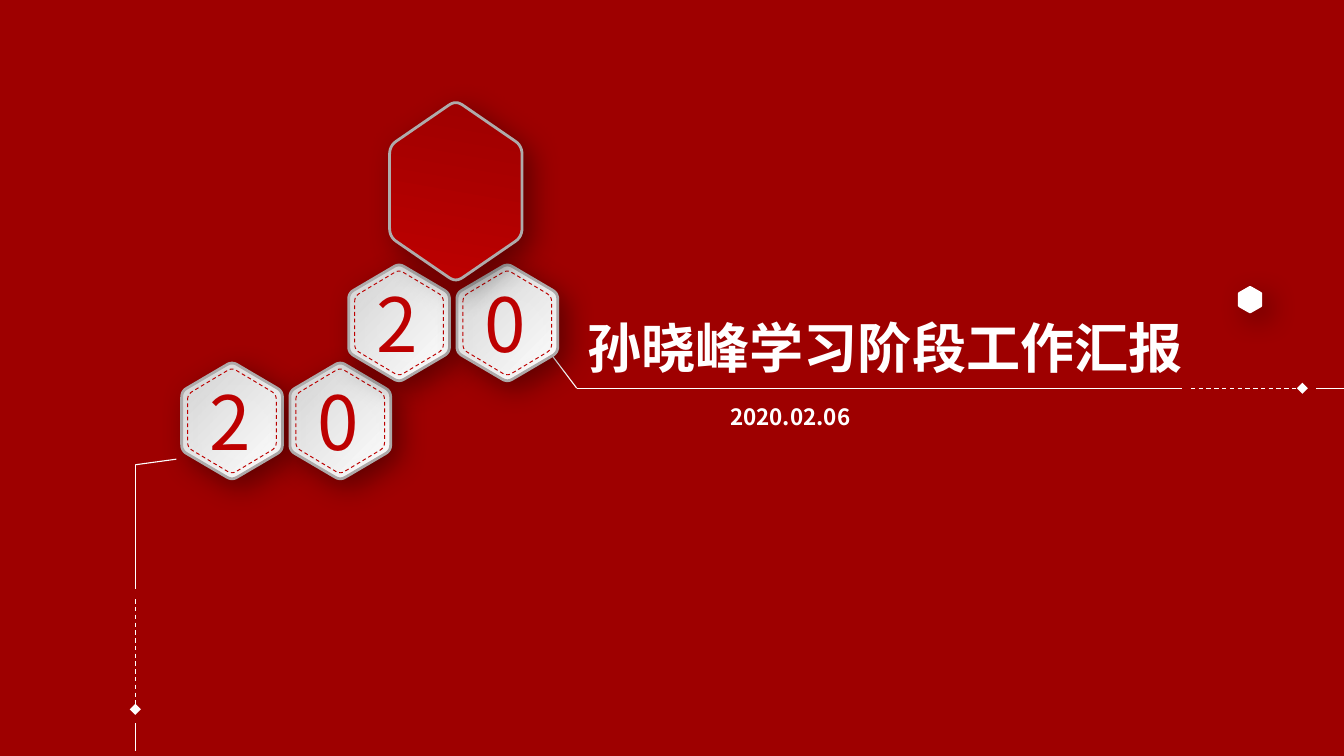
from dataclasses import dataclass

from lxml.etree import SubElement
from pptx import Presentation
from pptx.dml.color import RGBColor
from pptx.enum.dml import MSO_LINE_DASH_STYLE as Dash
from pptx.enum.shapes import MSO_CONNECTOR as Connector
from pptx.enum.text import MSO_ANCHOR as Anchor, PP_ALIGN as Align
from pptx.oxml.ns import qn
from pptx.util import Pt


@dataclass(frozen=True)
class Theme:
    font: str = "Noto Sans CJK SC"
    deep_red: RGBColor = RGBColor(0x9E, 0x00, 0x00)
    red: RGBColor = RGBColor(0xBD, 0x00, 0x00)
    white: RGBColor = RGBColor(0xFF, 0xFF, 0xFF)
    silver: RGBColor = RGBColor(0xD3, 0xD3, 0xD3)
    rim: RGBColor = RGBColor(0xAF, 0xAB, 0xAB)
    digit_size: float = 40
    title_size: float = 29
    date_size: float = 12


THEME = Theme()


def hexagon_points(left, top, width, height, cut=0.1, steps=6):
    """Outline of an upright hexagon whose rounded corners just fill the box."""
    rise = height / (1 - cut / 4) / 4
    middle_x, middle_y = left + width / 2, top + height / 2
    right = left + width
    corners = [
        (left, middle_y - rise), (middle_x, middle_y - 2 * rise),
        (right, middle_y - rise), (right, middle_y + rise),
        (middle_x, middle_y + 2 * rise), (left, middle_y + rise),
    ]
    points = []
    for i, corner in enumerate(corners):
        before, after = corners[i - 1], corners[(i + 1) % 6]
        for step in range(steps + 1):
            t = step / steps
            points.append(tuple(
                c + cut * ((1 - t) ** 2 * (b - c) + t ** 2 * (a - c))
                for b, c, a in zip(before, corner, after)
            ))
    return points


def add_shadow(shape):
    shape.shadow.inherit = False
    effects = shape._element.spPr.find(qn("a:effectLst"))
    shadow = SubElement(effects, qn("a:outerShdw"), blurRad=str(Pt(16)),
                        dist=str(Pt(6)), dir="2700000", rotWithShape="0")
    color = SubElement(shadow, qn("a:srgbClr"), val="000000")
    SubElement(color, qn("a:alpha"), val="40000")


def add_hexagon(shapes, box, colors=(), angle=0, line=None, line_width=1.5):
    """No colour leaves it open, one fills it, two make a gradient."""
    first, *rest = [(Pt(x), Pt(y)) for x, y in hexagon_points(*box)]
    builder = shapes.build_freeform(*first)
    builder.add_line_segments(rest, close=True)
    shape = builder.convert_to_shape()
    if len(colors) == 2:
        shape.fill.gradient()
        shape.fill.gradient_angle = angle
        for stop, color, position in zip(shape.fill.gradient_stops, colors, (0, 1)):
            stop.color.rgb = color
            stop.position = position
    elif colors:
        shape.fill.solid()
        shape.fill.fore_color.rgb = colors[0]
    else:
        shape.fill.background()
    if line is None:
        shape.line.fill.background()
    else:
        shape.line.color.rgb = line
        shape.line.width = Pt(line_width)
    add_shadow(shape)
    return shape


def add_text(shapes, box, text, size, color, bold=False, align=Align.LEFT,
             anchor=Anchor.TOP, indent=0):
    text_box = shapes.add_textbox(*map(Pt, box))
    frame = text_box.text_frame
    frame.word_wrap = True
    frame.vertical_anchor = anchor
    paragraph = frame.paragraphs[0]
    paragraph.text = text
    paragraph.alignment = align
    properties = paragraph._p.get_or_add_pPr()
    properties.set("marL", str(Pt(indent)))
    font = paragraph.font
    font.name = THEME.font
    font.size = Pt(size)
    font.bold = bold
    font.color.rgb = color
    SubElement(properties.find(qn("a:defRPr")), qn("a:ea"), typeface=THEME.font)
    return text_box


def add_digit_tile(slide, left, top, width, height, digit):
    shapes = slide.shapes.add_group_shape().shapes
    add_hexagon(shapes, (left, top, width, height),
                (THEME.white, THEME.silver), 135, THEME.rim)
    inset = width * 0.06
    stitch = add_hexagon(
        shapes, (left + inset, top + inset, width - 2 * inset, height - 2 * inset),
        line=THEME.red, line_width=0.5)
    stitch.line.dash_style = Dash.DASH
    add_text(shapes, (left - 1.2, top + 3 - inset, width, height), digit,
             THEME.digit_size, THEME.red, align=Align.CENTER, anchor=Anchor.MIDDLE)


def add_leader(slide, left, top, solid_lines, dashed_line):
    """Thin white lines; the dashed one ends in a diamond."""
    shapes = slide.shapes.add_group_shape().shapes
    for segment in (*solid_lines, dashed_line):
        x1, y1, x2, y2 = segment
        line = shapes.add_connector(Connector.STRAIGHT, Pt(left + x1), Pt(top + y1),
                                    Pt(left + x2), Pt(top + y2))
        line.line.color.rgb = THEME.white
        line.line.width = Pt(0.6)
        if segment is dashed_line:
            line.line.dash_style = Dash.DASH
            SubElement(line.line._get_or_add_ln(), qn("a:tailEnd"), type="diamond")
        SubElement(line._element.spPr, qn("a:effectLst"))


def add_heading(slide, left, top, width):
    add_text(slide.shapes, (left, top, width, 42.5), "孙晓峰学习阶段工作汇报",
             THEME.title_size, THEME.white, bold=True)
    add_text(slide.shapes, (left + 8.6, top + 47.5, 306, 20), "2020.02.06",
             THEME.date_size, THEME.white, bold=True, indent=68)


def add_year(slide, left, top):
    """Two rows of two digit tiles, the first row up and to the right."""
    width, height, step = 54, 62, 58
    for row_left, row_top in ((left, top + 52.5), (left + 89.5, top)):
        for column, digit in enumerate("20"):
            add_digit_tile(slide, row_left + column * step, row_top,
                           width, height, digit)


def build_cover(presentation):
    slide = presentation.slides.add_slide(presentation.slide_layouts[6])
    slide.background.fill.solid()
    slide.background.fill.fore_color.rgb = THEME.deep_red

    add_leader(slide, 296, 208,
               [(0, -17.2, 13, 0), (13, 0, 337, 0), (409, 0, 424, 0)],
               (342, 0, 401.7, 0))
    add_leader(slide, 72.5, 249,
               [(22, -3, 0, 0), (0, 0, 0, 66.5), (0, 138.5, 0, 153.5)],
               (0, 72, 0, 131))
    add_hexagon(slide.shapes, (663.2, 153.3, 13, 14.5), (THEME.white,))
    add_heading(slide, 307.5, 165, 412.5)
    add_year(slide, 97.3, 142)
    add_hexagon(slide.shapes, (208.7, 55, 71, 95), (THEME.deep_red, THEME.red),
                260, THEME.rim)


def main():
    presentation = Presentation()
    presentation.slide_width = Pt(720)
    presentation.slide_height = Pt(405)
    build_cover(presentation)
    presentation.save("out.pptx")


if __name__ == "__main__":
    main()
